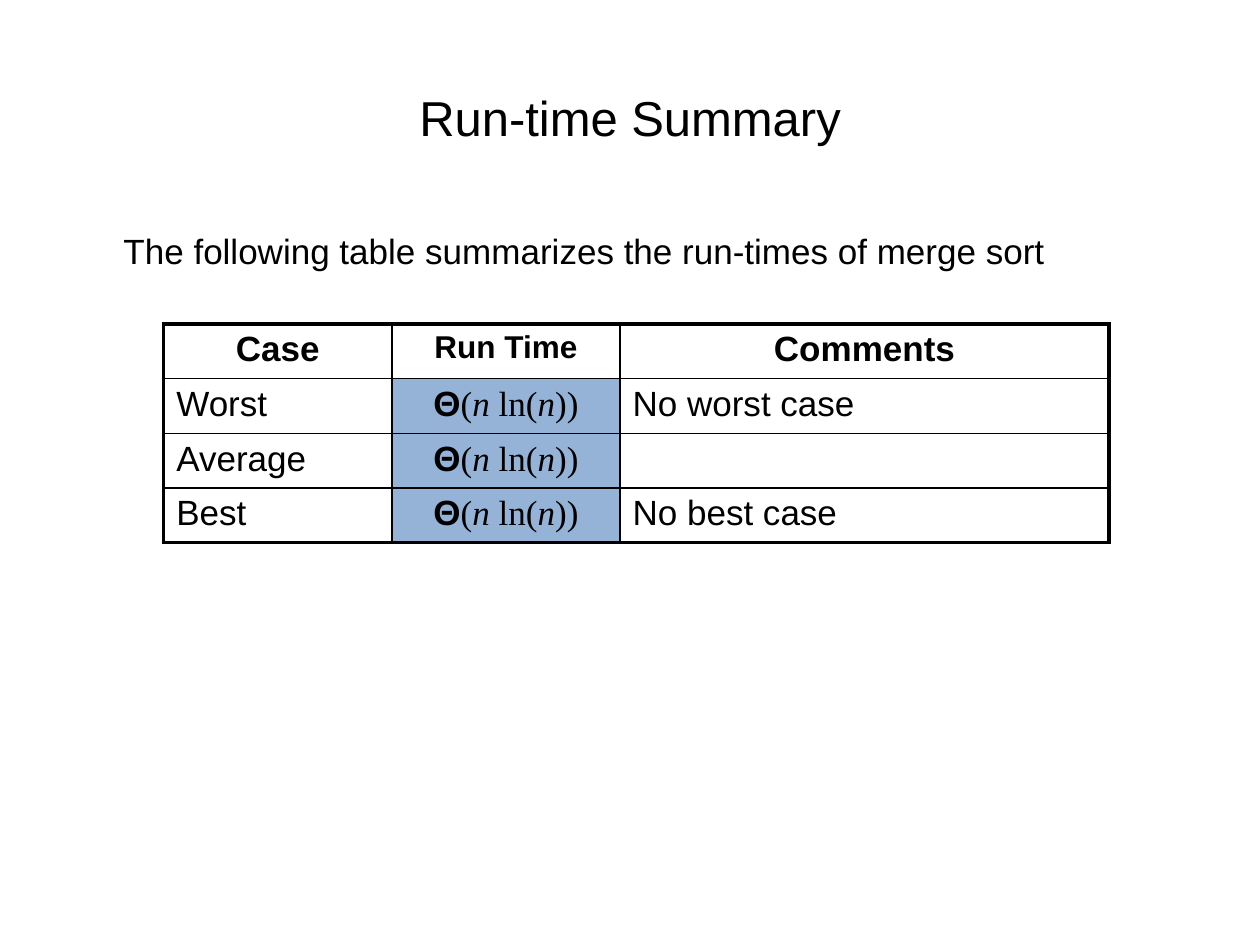
"""Build the merge sort run-time summary slide."""
from lxml.etree import SubElement
from pptx import Presentation
from pptx.dml.color import RGBColor
from pptx.enum.text import MSO_ANCHOR as Anchor, PP_ALIGN as Align
from pptx.oxml.ns import qn
from pptx.util import Cm, Pt

BLACK = RGBColor(0x00, 0x00, 0x00)
BLUE = RGBColor(0x95, 0xB3, 0xD7)
THIN, THICK = Pt(1), Pt(2.25)


def write(para, text, **changes):
    span = para.add_run()
    span.text = text
    formats = {"name": "Arial", "size": Pt(20), "bold": False, "italic": False}
    for name, value in {**formats, **changes}.items():
        setattr(span.font, name, value)
    span.font.color.rgb = BLACK


def set_border(cell, side, width):
    line = SubElement(cell._tc.get_or_add_tcPr(), qn(f"a:ln{side}"), w=str(width))
    fill = SubElement(line, qn("a:solidFill"))
    SubElement(fill, qn("a:srgbClr"), val=str(BLACK))


deck = Presentation()
deck.slide_width, deck.slide_height = Cm(25.4), Cm(19.05)
page = deck.slides.add_slide(deck.slide_layouts[6])

texts = [
    ("Run-time Summary", 28, Cm(0.76), Cm(3.18), Align.CENTER,
     {"vertical_anchor": Anchor.MIDDLE}),
    ("The following table summarizes the run-times of merge sort", 20,
     Cm(4.45), Cm(12.57), Align.LEFT,
     {"vertical_anchor": Anchor.TOP, "margin_left": Cm(1.22), "margin_top": Cm(0.18)}),
]
for text, size, top, height, alignment, formats in texts:
    box = page.shapes.add_textbox(Cm(1.27), top, Cm(22.86), height)
    for name, value in {"word_wrap": True, **formats}.items():
        setattr(box.text_frame, name, value)
    para = box.text_frame.paragraphs[0]
    para.alignment = alignment
    write(para, text, size=Pt(size))

headings = [("Case", 20), ("Run Time", 18), ("Comments", 20)]
cases = [("Worst", "No worst case"), ("Average", ""), ("Best", "No best case")]
math_font = {"name": "Times New Roman"}
run_time = [
    ("Θ", {"bold": True}),
    ("(", math_font),
    ("n ", {**math_font, "italic": True}),
    ("ln(", math_font),
    ("n", {**math_font, "italic": True}),
    ("))", math_font),
]
rows = [[[(text, {"bold": True, "size": Pt(size)})] for text, size in headings]]
for case, comment in cases:
    rows.append([[(case, {})], run_time, [(comment, {})] if comment else []])

widths = [Cm(4.6), Cm(4.6), Cm(9.86)]
table = page.shapes.add_table(
    len(rows), len(widths), Cm(3.3), Cm(6.53), sum(widths), Cm(1.1) * len(rows)
).table
table.first_row = table.horz_banding = False
for column, width in zip(table.columns, widths):
    column.width = width

last_row, last_column = len(rows) - 1, len(widths) - 1
for r, row in enumerate(rows):
    for c, spans in enumerate(row):
        cell = table.cell(r, c)
        para = cell.text_frame.paragraphs[0]
        para.alignment = Align.CENTER if r == 0 or c == 1 else Align.LEFT
        for text, formats in spans:
            write(para, text, **formats)
        edges = {"L": c == 0, "R": c == last_column, "T": r == 0, "B": r == last_row}
        for side, is_outer in edges.items():
            set_border(cell, side, THICK if is_outer else THIN)
        if r > 0 and c == 1:
            cell.fill.solid()
            cell.fill.fore_color.rgb = BLUE
        else:
            cell.fill.background()

deck.save("out.pptx")
